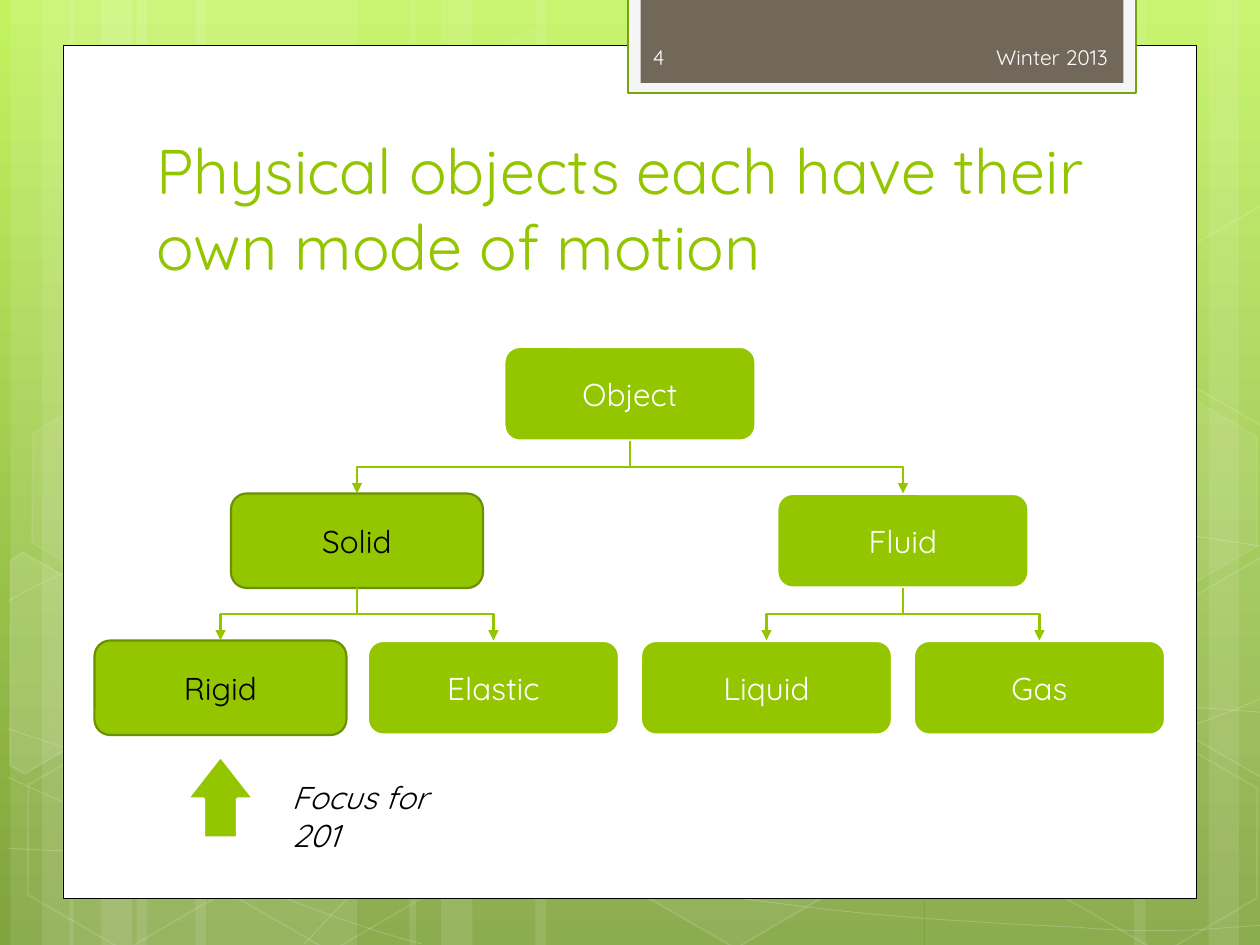
from dataclasses import dataclass

from lxml import etree
from pptx import Presentation
from pptx.dml.color import RGBColor
from pptx.enum.shapes import MSO_CONNECTOR, MSO_SHAPE
from pptx.enum.text import MSO_ANCHOR, PP_ALIGN
from pptx.oxml.ns import qn
from pptx.util import Emu, Pt

RECT, ROUNDED = MSO_SHAPE.RECTANGLE, MSO_SHAPE.ROUNDED_RECTANGLE
HEXAGON, UP_ARROW = MSO_SHAPE.HEXAGON, MSO_SHAPE.UP_ARROW
ELBOW = MSO_CONNECTOR.ELBOW
LEFT, CENTER, RIGHT = PP_ALIGN.LEFT, PP_ALIGN.CENTER, PP_ALIGN.RIGHT
TOP, MIDDLE = MSO_ANCHOR.TOP, MSO_ANCHOR.MIDDLE
TITLE_ONLY = 5
BOTTOM_SITE, TOP_SITE = 2, 0
EMU_PER_PX = 7620  # 120 px to the inch
SLIDE_BOX = (0, 0, 1200, 900)
HEXAGON_TILT = 30


@dataclass(frozen=True)
class Theme:
    font: str = "Quicksand"
    green: str = "94C600"
    dark_green: str = "6B9100"
    tab_line: str = "74A510"
    tab_rim: str = "F5F5F5"
    tab_fill: str = "71685A"
    tab_text: str = "FEFEFE"
    white: str = "FFFFFF"
    black: str = "000000"
    sky_top: str = "C2F35F"
    sky_bottom: str = "80A33D"
    title_size: int = 36
    body_size: int = 18
    tab_size: int = 12


THEME = Theme()

STRIPES = [(130, 210), (10, 60), (40, 100), (186, 210), (66, 60), (96, 100),
           (881, 210), (1151, 60), (1080, 100), (510, 370), (390, 60), (420, 100)]
# Each curve is a start point followed by three Bézier points per segment.
CURVES = [
    [(8, 808), (73, 811), (138, 815), (228, 814), (318, 812), (430, 810), (550, 798),
     (670, 786), (840, 763), (950, 740), (1060, 718), (1172, 682), (1208, 661)],
    [(8, 572), (43, 553), (78, 535), (145, 517), (214, 499), (311, 473), (416, 464),
     (523, 456), (653, 455), (785, 464), (917, 474), (1136, 511), (1208, 521)],
    [(7, 740), (152, 806), (296, 872), (402, 899)],
    [(8, 694), (46, 707), (84, 720), (154, 739), (223, 757), (328, 787), (428, 808),
     (528, 828), (654, 850), (754, 862), (853, 875), (960, 880), (1024, 883),
     (1087, 888), (1103, 886), (1134, 886), (1165, 884), (1187, 882), (1208, 881)],
    [(290, 899), (312, 875), (334, 851), (362, 829), (391, 806), (432, 784), (466, 767),
     (500, 750), (520, 743), (563, 731), (607, 719), (688, 702), (730, 694),
     (773, 685), (779, 685), (816, 683), (853, 679), (912, 676), (953, 674),
     (995, 673), (1063, 674), (1063, 674), (1090, 674), (1117, 674), (1144, 674),
     (1165, 676), (1186, 677), (1196, 678), (1207, 679), (1204, 678), (1207, 679)],
]
# Left, top, fill opacity and line opacity in percent.
HEXAGONS = [(401, 43, 4, 8), (595, 707, 6, 12), (13, 709, 0, 12), (17, 374, 7, 8),
            (209, 710, 0, 12), (904, 544, 10, 12), (1001, 712, 0, 12), (1001, 377, 7, 8)]
# Hexagons cut by the slide's edge, as corners before the tilt.
LEFT_CUT = [(0, 13), (6, 0), (113, 0), (165, 91), (113, 182), (97, 182)]
RIGHT_CUT = [(0, 91), (52, 0), (64, 0), (163, 175), (158, 182), (53, 182)]
CUT_HEXAGONS = [(-40, 552, LEFT_CUT, 10), (1100, 533, RIGHT_CUT, 4), (1100, 198, RIGHT_CUT, 0)]

# Name: (column in half steps, row, parent, highlighted)
NODES = {
    "Object": (3, 0, None, False),
    "Solid": (1, 1, "Object", True),
    "Fluid": (5, 1, "Object", False),
    "Rigid": (0, 2, "Solid", True),
    "Elastic": (2, 2, "Solid", False),
    "Liquid": (4, 2, "Fluid", False),
    "Gas": (6, 2, "Fluid", False),
}


def px(value):
    return Emu(value * EMU_PER_PX)


def rgb(color):
    return RGBColor.from_string(color)


def set_opacity(parent, percent):
    color = next(parent.iter(qn("a:srgbClr")))
    etree.SubElement(color, qn("a:alpha")).set("val", str(percent * 1000))


def paint(shape, fill=None, line=None, width=1, fill_opacity=100, line_opacity=100):
    shape.shadow.inherit = False
    properties = shape._element.spPr
    if fill and fill_opacity:
        shape.fill.solid()
        shape.fill.fore_color.rgb = rgb(fill)
        if fill_opacity < 100:
            set_opacity(properties.find(qn("a:solidFill")), fill_opacity)
    else:
        shape.fill.background()
    if line:
        shape.line.color.rgb = rgb(line)
        shape.line.width = Pt(width)
        if line_opacity < 100:
            set_opacity(properties.find(qn("a:ln")), line_opacity)
    else:
        shape.line.fill.background()


def add_block(slide, kind, box, **look):
    block = slide.shapes.add_shape(kind, *map(px, box))
    paint(block, **look)
    return block


def write(holder, text, size, color, align=LEFT, anchor=MIDDLE, italic=False):
    frame = holder.text_frame
    frame.text = text
    frame.word_wrap = True
    frame.vertical_anchor = anchor
    paragraph = frame.paragraphs[0]
    paragraph.alignment = align
    font = paragraph.font
    font.name, font.size, font.italic = THEME.font, Pt(size), italic
    font.color.rgb = rgb(color)


def add_label(slide, box, text, size, color, **layout):
    write(slide.shapes.add_textbox(*map(px, box)), text, size, color, **layout)


def add_outline(slide, left, top, points, close, **look):
    start, *rest = [(px(left + x), px(top + y)) for x, y in points]
    builder = slide.shapes.build_freeform(*start)
    builder.add_line_segments(rest, close=close)
    outline = builder.convert_to_shape()
    paint(outline, line=THEME.white, **look)
    return outline


def bend(outline):
    """Turn every three straight segments into one Bézier segment."""
    route = next(outline._element.iter(qn("a:path")))
    segments = route.findall(qn("a:lnTo"))
    for i in range(0, len(segments), 3):
        curve = etree.SubElement(route, qn("a:cubicBezTo"))
        for segment in segments[i:i + 3]:
            curve.append(segment[0])
            route.remove(segment)


def add_backdrop(slide, box):
    left, top, _, height = box
    sky = slide.background.fill
    sky.gradient()
    sky.gradient_angle = 270
    for stop, color in zip(sky.gradient_stops, (THEME.sky_top, THEME.sky_bottom)):
        stop.color.rgb = rgb(color)
    for x, width in STRIPES:
        add_block(slide, RECT, (left + x, top, width, height), fill=THEME.white, fill_opacity=10)
    for curve in CURVES:
        bend(add_outline(slide, left, top, curve, False, width=0.5, line_opacity=20))
    for x, y, fill_opacity, line_opacity in HEXAGONS:
        hexagon = add_block(slide, HEXAGON, (left + x, top + y, 210, 182),
                            fill=THEME.white, line=THEME.white,
                            fill_opacity=fill_opacity, line_opacity=line_opacity)
        hexagon.adjustments[0] = 0.285
        hexagon.rotation = HEXAGON_TILT
    for x, y, corners, opacity in CUT_HEXAGONS:
        cut = add_outline(slide, left + x, top + y, corners, True,
                          fill=THEME.white, fill_opacity=opacity, line_opacity=12)
        cut.rotation = HEXAGON_TILT


def add_header_tab(slide, box):
    left, top, width, height = box
    add_block(slide, RECT, box, fill=THEME.tab_rim, line=THEME.tab_line, width=1.25)
    add_block(slide, RECT, (left + 12, top, width - 24, height - 10), fill=THEME.tab_fill)
    add_label(slide, (left + 189, top + 32, 280, 48), "Winter 2013",
              THEME.tab_size, THEME.tab_text, align=RIGHT)
    add_label(slide, (left + 12, top + 32, 175, 48), "4", THEME.tab_size, THEME.tab_text)


def add_title(slide, box, text):
    title = slide.shapes.title
    title.left, title.top, title.width, title.height = map(px, box)
    write(title, text, THEME.title_size, THEME.green)
    slide.shapes._spTree.append(title._element)  # in front of the panel


def add_branch(slide, parent, child):
    """Join a parent's bottom to a child's top with an elbow that starts downwards."""
    x1, y1 = parent.left + parent.width // 2, parent.top + parent.height
    x2, y2 = child.left + child.width // 2, child.top
    branch = slide.shapes.add_connector(ELBOW, x1, y1, x2, y2)
    branch.begin_connect(parent, BOTTOM_SITE)
    branch.end_connect(child, TOP_SITE)
    # A quarter turn swaps width and height about the centre.
    branch.width, branch.height = Emu(y2 - y1), Emu(abs(x2 - x1))
    branch.left = Emu((x1 + x2 - branch.width) // 2)
    branch.top = Emu((y1 + y2 - branch.height) // 2)
    rightward = x2 > x1
    properties = branch._element.spPr
    frame = properties.find(qn("a:xfrm"))
    frame.set("rot", str((270 if rightward else 90) * 60000))
    frame.set("flipH", str(int(rightward)))
    branch.line.color.rgb = rgb(THEME.green)
    branch.line.width = Pt(1.25)
    etree.SubElement(properties.find(qn("a:ln")), qn("a:tailEnd")).set("type", "triangle")
    etree.SubElement(properties, qn("a:effectLst"))


def add_tree(slide, box):
    left, top, width, height = box
    node_width, node_height = 240, 90
    half_step = (width - node_width) // 6
    row_step = (height - node_height) // 2
    nodes = {}
    for name, (column, row, _, highlighted) in NODES.items():
        line, line_width, text_color = ((THEME.dark_green, 1.25, THEME.black) if highlighted
                                        else (THEME.white, 1.75, THEME.white))
        place = (left + column * half_step, top + row * row_step, node_width, node_height)
        nodes[name] = add_block(slide, ROUNDED, place, fill=THEME.green,
                                line=line, width=line_width)
        write(nodes[name], name, THEME.body_size, text_color, align=CENTER)
    for name, (_, _, parent, _) in NODES.items():
        if parent:
            add_branch(slide, nodes[parent], nodes[name])


def add_focus_note(slide, box):
    left, top, width, _ = box
    arrow = add_block(slide, UP_ARROW, (left, top, 64, 78),
                      fill=THEME.green, line=THEME.white, width=1.75)
    arrow.adjustments[0], arrow.adjustments[1] = 0.5, 0.64
    add_label(slide, (left + 88, top + 15, width - 88, 48), "Focus for 201",
              THEME.body_size, THEME.black, anchor=TOP, italic=True)


def main():
    deck = Presentation()
    deck.slide_width, deck.slide_height = map(px, SLIDE_BOX[2:])
    slide = deck.slides.add_slide(deck.slide_layouts[TITLE_ONLY])
    add_backdrop(slide, SLIDE_BOX)
    add_block(slide, RECT, (60, 43, 1080, 813), fill=THEME.white, line=THEME.black, width=0.5)
    add_header_tab(slide, (598, -2, 484, 91))
    add_title(slide, (137, 110, 922, 175), "Physical objects each have their own mode of motion")
    add_tree(slide, (90, 330, 1020, 370))
    add_focus_note(slide, (178, 720, 291, 78))
    deck.save("out.pptx")


if __name__ == "__main__":
    main()
